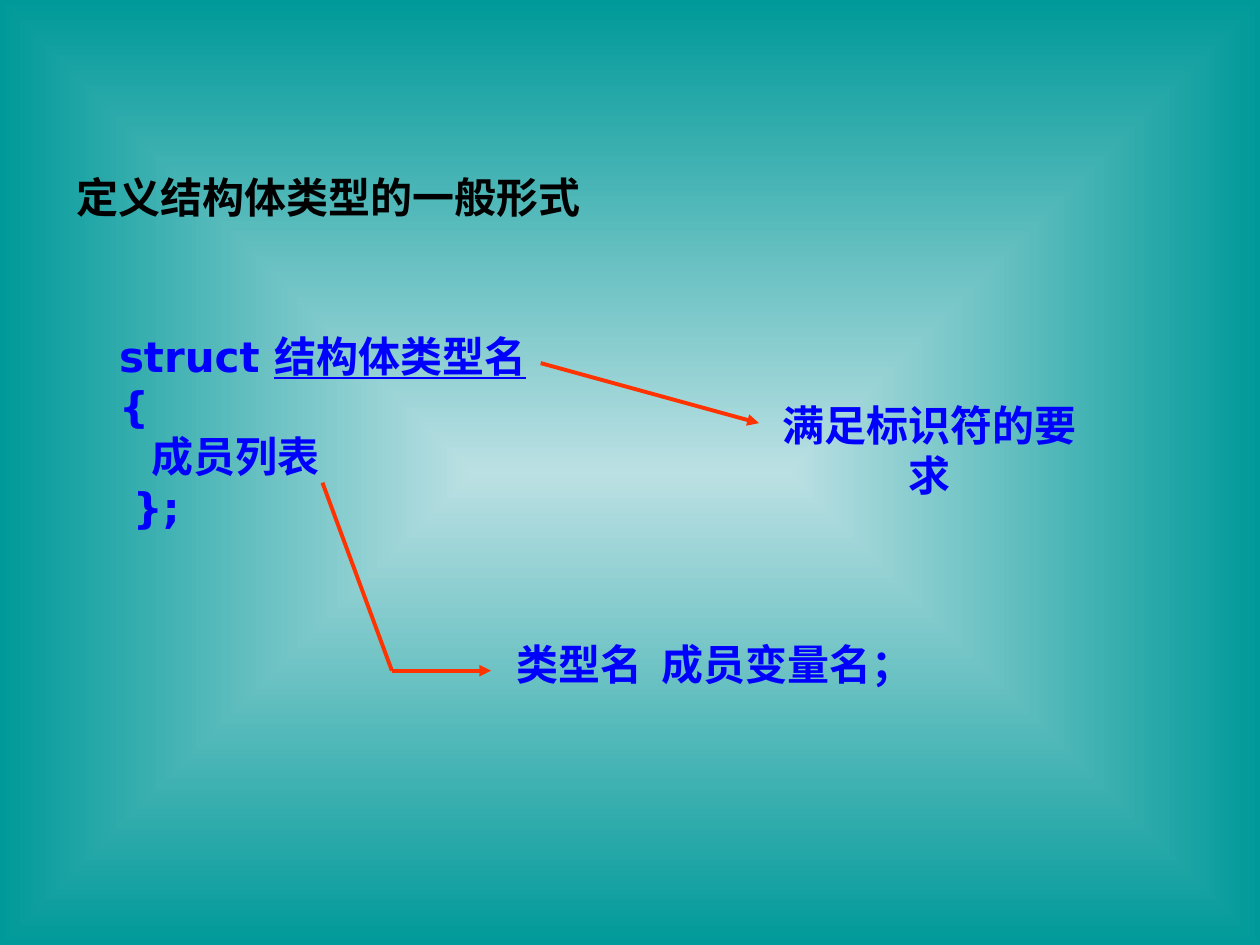
from pptx import Presentation
from pptx.dml.color import RGBColor
from pptx.enum.shapes import MSO_CONNECTOR
from pptx.enum.text import MSO_ANCHOR, PP_ALIGN
from pptx.oxml.ns import qn
from pptx.oxml.xmlchemy import OxmlElement
from pptx.util import Cm, Pt

LINE = MSO_CONNECTOR.STRAIGHT
MIDDLE, TOP = MSO_ANCHOR.MIDDLE, MSO_ANCHOR.TOP
LEFT, CENTER = PP_ALIGN.LEFT, PP_ALIGN.CENTER
BLACK, BLUE, RED = "000000", "0000FF", "FF3300"
FONT = {"name": "DejaVu Sans", "size": Pt(24), "bold": True}


def rgb(code):
    return RGBColor.from_string(code)


def write(par, text, color, under=False):
    run = par.add_run()
    run.text = text
    for key, val in {**FONT, "underline": under}.items():
        setattr(run.font, key, val)
    run.font.color.rgb = rgb(color)


deck = Presentation()
deck.slide_width, deck.slide_height = Cm(25.4), Cm(19.05)
slide = deck.slides.add_slide(deck.slide_layouts[6])

# Background: light centre, teal edges
fill = slide.background.fill
fill.gradient()
for stop, code in zip(fill.gradient_stops, ("BBE0E3", "009999")):
    stop.color.rgb = rgb(code)
lin = slide.element.find(".//" + qn("a:lin"))
shade = OxmlElement("a:path")
shade.set("path", "rect")
focus = OxmlElement("a:fillToRect")
for side in "ltrb":
    focus.set(side, "50000")
shade.append(focus)
lin.getparent().replace(lin, shade)

# Text boxes: place, format, colour, lines of (indent, runs)
code_lines = [
    (0.85, [("struct ", False), ("结构体类型名", True)]),
    (0.85, [("{", False)]),
    (1.5, [("成员列表", False)]),
    (1.13, [("};", False)]),
]
boxes = [
    ((1.3, 3.33, 22.86, 1.27), MIDDLE, LEFT, True, BLACK,
     [(0, [("定义结构体类型的一般形式", False)])]),
    ((1.3, 6.53, 22.86, 4.32), TOP, LEFT, True, BLUE, code_lines),
    ((10.16, 12.75, 8.51, 1.27), TOP, CENTER, False, BLUE,
     [(0, [("类型名  成员变量名；", False)])]),
    ((15.11, 7.92, 7.26, 1.27), TOP, CENTER, False, BLUE,
     [(0, [("满足标识符的要求", False)])]),
]
for place, anchor, align, wrap, color, lines in boxes:
    frame = slide.shapes.add_textbox(*map(Cm, place)).text_frame
    frame.word_wrap = wrap
    frame.vertical_anchor = anchor
    for num, (indent, runs) in enumerate(lines):
        par = frame.add_paragraph() if num else frame.paragraphs[0]
        par.alignment = align
        if indent:
            par._p.get_or_add_pPr().set("marL", str(Cm(indent)))
        for text, under in runs:
            write(par, text, color, under)

# Red pointers: start, end, arrowhead
for start, end, head in [
    ((6.5, 9.73), (7.9, 13.52), False),
    ((7.9, 13.52), (9.9, 13.52), True),
    ((10.9, 7.32), (15.3, 8.53), True),
]:
    link = slide.shapes.add_connector(LINE, *map(Cm, start + end))
    link.line.color.rgb = rgb(RED)
    link.line.width = Pt(2.25)
    if head:
        tip = OxmlElement("a:tailEnd")
        tip.set("type", "triangle")
        link.line._get_or_add_ln().append(tip)
    link._element.spPr.append(OxmlElement("a:effectLst"))

deck.save("out.pptx")
